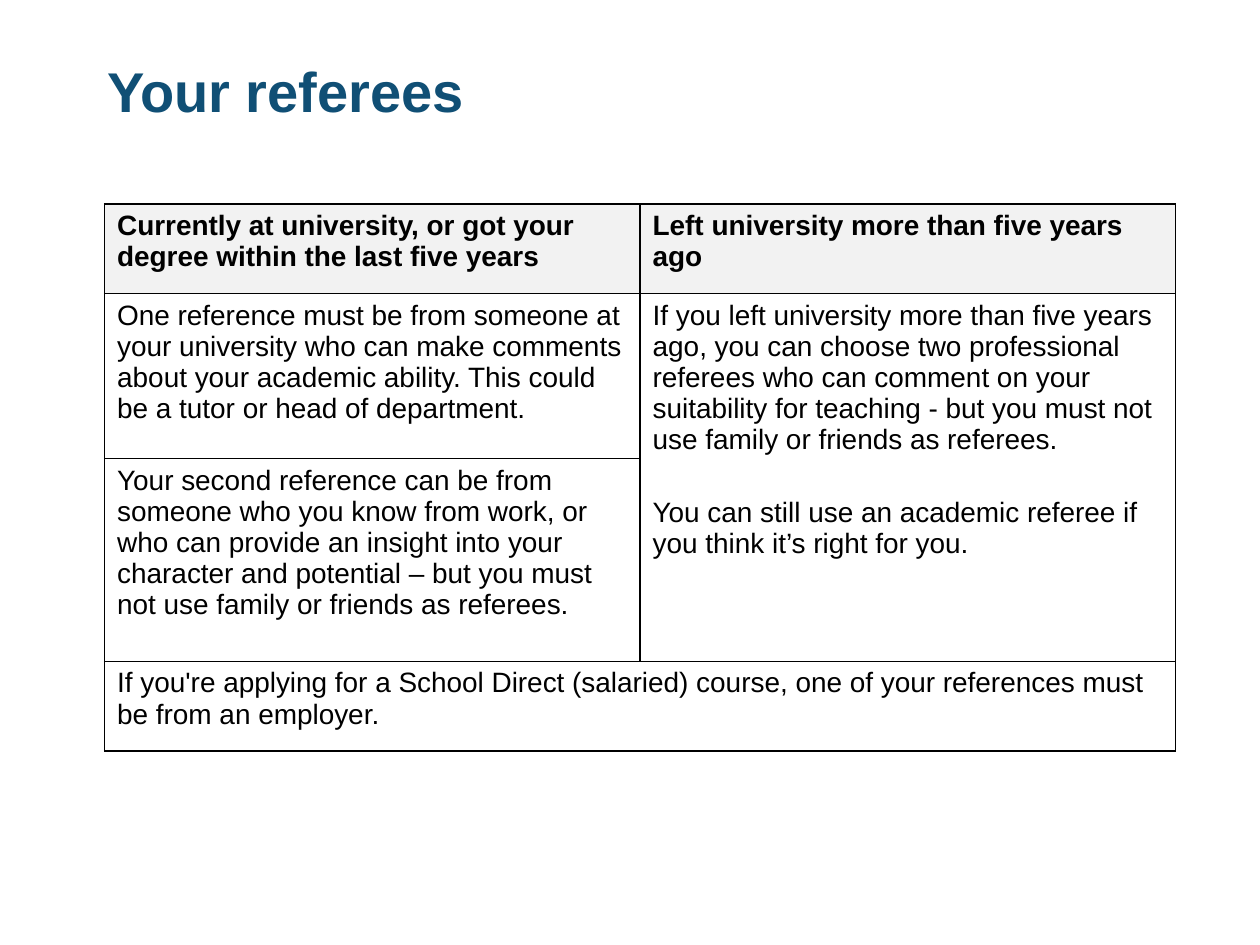
from dataclasses import dataclass

from lxml import etree
from pptx import Presentation
from pptx.dml.color import RGBColor
from pptx.enum.text import MSO_ANCHOR, MSO_AUTO_SIZE, PP_ALIGN
from pptx.oxml.ns import qn
from pptx.util import Inches, Pt

LEFT, TOP = PP_ALIGN.LEFT, MSO_ANCHOR.TOP
MIDDLE, NO_FIT = MSO_ANCHOR.MIDDLE, MSO_AUTO_SIZE.NONE
TITLE_ONLY = 5
FONT, BLACK, TITLE_BLUE, HEADER_GREY = "Arial", "000000", "104F75", "F2F2F2"
COLUMN_WIDTH, COLUMN_COUNT = 4.25, 2
ROW_HEIGHTS = [0.71, 1.31, 1.61, 0.71]


@dataclass
class Entry:
    row: int
    column: int
    paragraphs: list[str]
    row_span: int = 1
    column_span: int = 1


ENTRIES = [
    Entry(0, 0, ["Currently at university, or got your degree within the last five years"]),
    Entry(0, 1, ["Left university more than five years ago"]),
    Entry(1, 0, ["One reference must be from someone at your university who can make "
                 "comments about your academic ability. This could be a tutor or head "
                 "of department."]),
    Entry(1, 1, ["If you left university more than five years ago, you can choose two "
                 "professional referees who can comment on your suitability for "
                 "teaching - but you must not use family or friends as referees.",
                 "You can still use an academic referee if you think it’s right for you."],
          row_span=2),
    Entry(2, 0, ["Your second reference can be from someone who you know from work, or "
                 "who can provide an insight into your character and potential – but "
                 "you must not use family or friends as referees."]),
    Entry(3, 0, ["If you're applying for a School Direct (salaried) course, one of your "
                 "references must be from an employer."], column_span=2),
]


def colour(value: str) -> RGBColor:
    return RGBColor.from_string(value)


def style_font(paragraph, size: float, color: str, bold: bool) -> None:
    font = paragraph.font
    font.name, font.size, font.bold = FONT, Pt(size), bold
    font.color.rgb = colour(color)


def add_borders(cell, color: str, width: float) -> None:
    properties = cell._tc.get_or_add_tcPr()
    for position, side in enumerate(("lnL", "lnR", "lnT", "lnB")):
        line = etree.Element(qn(f"a:{side}"), w=str(Pt(width)))
        fill = etree.SubElement(line, qn("a:solidFill"))
        etree.SubElement(fill, qn("a:srgbClr"), val=color)
        properties.insert(position, line)


def add_title(slide, text: str) -> None:
    title = slide.shapes.title
    title.left, title.top = Inches(0.75), Inches(0.36)
    title.width, title.height = Inches(8.5), Inches(0.71)
    frame = title.text_frame
    frame.text = text
    frame.auto_size, frame.vertical_anchor = NO_FIT, MIDDLE
    frame.paragraphs[0].alignment = LEFT
    style_font(frame.paragraphs[0], 32, TITLE_BLUE, True)


def fill_entry(table, entry: Entry) -> None:
    cell = table.cell(entry.row, entry.column)
    if entry.row_span > 1 or entry.column_span > 1:
        cell.merge(table.cell(entry.row + entry.row_span - 1,
                              entry.column + entry.column_span - 1))
    cell.text = "\n".join(entry.paragraphs)
    for paragraph in cell.text_frame.paragraphs:
        paragraph.alignment = LEFT
        paragraph.space_before = paragraph.space_after = Pt(12)
        style_font(paragraph, 16, BLACK, entry.row == 0)


def add_referee_table(slide) -> None:
    table = slide.shapes.add_table(
        len(ROW_HEIGHTS), COLUMN_COUNT, Inches(0.83), Inches(1.62),
        Inches(COLUMN_WIDTH * COLUMN_COUNT), Inches(sum(ROW_HEIGHTS))).table
    table.first_row = table.horz_banding = False
    for column in table.columns:
        column.width = Inches(COLUMN_WIDTH)
    for row_index, (row, height) in enumerate(zip(table.rows, ROW_HEIGHTS)):
        row.height = Inches(height)
        for cell in row.cells:
            cell.vertical_anchor = TOP
            cell.margin_bottom = 0
            if row_index == 0:
                cell.fill.solid()
                cell.fill.fore_color.rgb = colour(HEADER_GREY)
            else:
                cell.fill.background()
            add_borders(cell, BLACK, 1)
    for entry in ENTRIES:
        fill_entry(table, entry)


def main() -> None:
    presentation = Presentation()
    presentation.slide_width, presentation.slide_height = Inches(10), Inches(7.5)
    slide = presentation.slides.add_slide(presentation.slide_layouts[TITLE_ONLY])
    add_title(slide, "Your referees")
    add_referee_table(slide)
    presentation.save("out.pptx")


if __name__ == "__main__":
    main()
